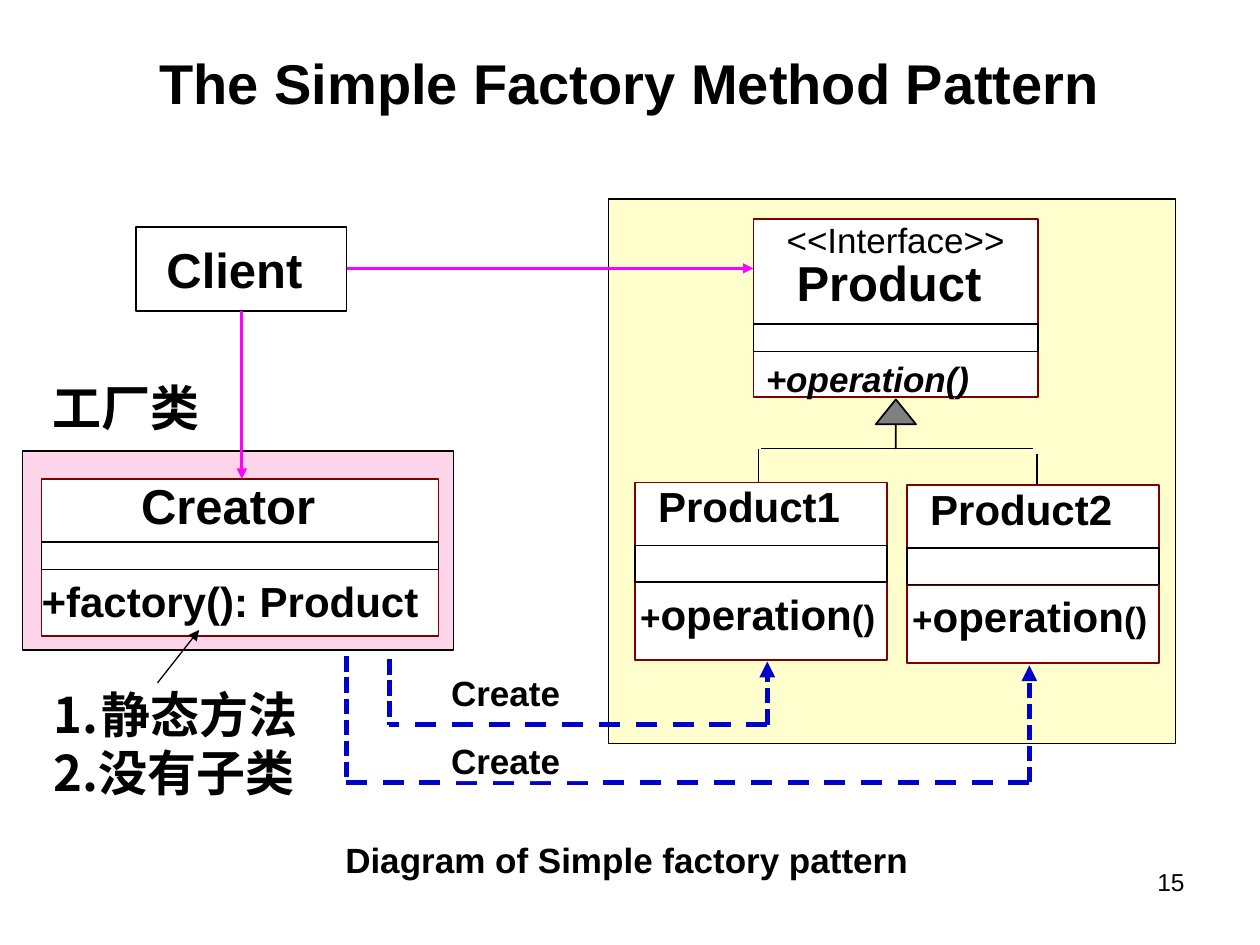
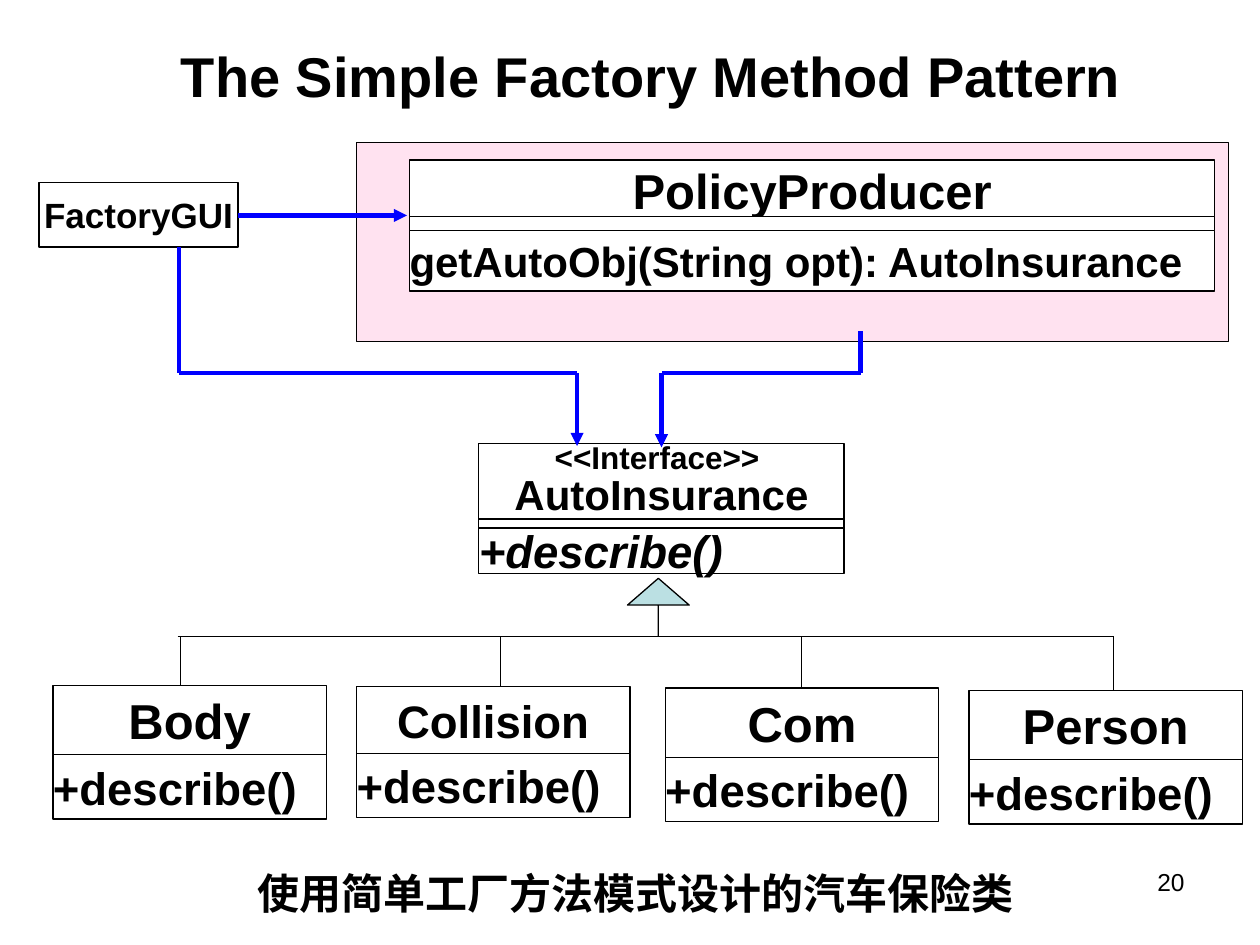
import lxml.etree
import pptx
import pptx.dml.color
import pptx.enum.dml
import pptx.enum.shapes
import pptx.enum.text
import pptx.oxml.ns
import pptx.util

Inches = pptx.util.Inches
RGBColor = pptx.dml.color.RGBColor
Align = pptx.enum.text.PP_ALIGN
Anchor = pptx.enum.text.MSO_ANCHOR
Dash = pptx.enum.dml.MSO_LINE
Preset = pptx.enum.shapes.MSO_SHAPE
qn = pptx.oxml.ns.qn

BLACK = RGBColor(0x00, 0x00, 0x00)
WHITE = RGBColor(0xFF, 0xFF, 0xFF)
PINK = RGBColor(0xFF, 0x99, 0xCC)
YELLOW = RGBColor(0xFF, 0xFF, 0x99)
MAROON = RGBColor(0x80, 0x00, 0x00)
MAGENTA = RGBColor(0xFF, 0x00, 0xFF)
NAVY = RGBColor(0x00, 0x00, 0xCC)
BLUE = RGBColor(0x00, 0x00, 0xFF)
GREY = RGBColor(0x80, 0x80, 0x80)
PALE_TEAL = RGBColor(0xBB, 0xE0, 0xE3)
LATIN_FONT = "Arial"
CHINESE_FONT = "Noto Sans CJK SC"
TITLE = "The Simple Factory Method Pattern"
PADDING = (0.1, 0.05, 0.1, 0.05)
NO_PADDING = (0, 0, 0, 0)


def add_child(parent, tag, **attributes):
    return lxml.etree.SubElement(parent, qn(tag), attributes)


def write(shape, paragraphs, size=20, bold=True, italic=False, font=LATIN_FONT,
          align=Align.LEFT, anchor=Anchor.TOP, padding=PADDING, spacing=None,
          hanging=0, numbered=0, wrap=True):
    """Fill a shape with paragraphs, each a list of (text, size or None) spans or a string.

    The first `numbered` paragraphs get an automatic number.
    """
    frame = shape.text_frame
    frame.word_wrap = wrap
    frame.vertical_anchor = anchor
    (frame.margin_left, frame.margin_top,
     frame.margin_right, frame.margin_bottom) = map(Inches, padding)
    if isinstance(paragraphs, str):
        paragraphs = [paragraphs]
    for index, spans in enumerate(paragraphs):
        para = frame.add_paragraph() if index else frame.paragraphs[0]
        para.alignment = align
        if spacing:
            para.line_spacing = spacing
        if hanging:
            properties = para._p.get_or_add_pPr()
            properties.set("marL", str(Inches(hanging)))
            properties.set("indent", str(-Inches(hanging)))
            if index < numbered:
                add_child(properties, "a:buFont", typeface=font)
                add_child(properties, "a:buAutoNum", type="arabicPeriod")
        if isinstance(spans, str):
            spans = [(spans, None)]
        for text, span_size in spans:
            span = para.add_run()
            span.text = text
            span.font.size = pptx.util.Pt(span_size or size)
            span.font.bold = bold
            span.font.italic = italic
            span.font.name = font
            span.font.color.rgb = BLACK
            add_child(span._r.get_or_add_rPr(), "a:ea", typeface=CHINESE_FONT)


class Diagram:
    """Holds the class box style and the slide being drawn."""

    def __init__(self, deck, number, title_left, title_top, border, border_width,
                 anchor, strip_border=BLACK):
        self.slide = deck.slides.add_slide(deck.slide_layouts[6])
        self.border = border
        self.border_width = border_width
        self.anchor = anchor
        self.strip_border = strip_border
        self.label(title_left, title_top, 9, 0.7, TITLE, size=32,
                   align=Align.CENTER, anchor=Anchor.MIDDLE)
        self.label(7.17, 6.83, 2.33, 0.52, number, size=14, bold=False, align=Align.RIGHT)

    def label(self, left, top, width, height, text, **text_format):
        box = self.slide.shapes.add_textbox(*map(Inches, (left, top, width, height)))
        write(box, text, **text_format)
        return box

    def box(self, left, top, width, height, fill=WHITE, border=BLACK, border_width=0.75,
            opacity=None, preset=Preset.RECTANGLE):
        shape = self.slide.shapes.add_shape(preset, *map(Inches, (left, top, width, height)))
        shape.shadow.inherit = False
        shape.fill.solid()
        shape.fill.fore_color.rgb = fill
        if opacity:
            color = shape._element.spPr.find(qn("a:solidFill"))[0]
            add_child(color, "a:alpha", val=str(opacity * 1000))
        shape.line.color.rgb = border
        shape.line.width = pptx.util.Pt(border_width)
        return shape

    def class_box(self, left, top, width, heights, name, operation,
                  name_format, operation_format):
        """Stack the name, attribute and operation parts; a zero height drops the attributes."""
        name_height, strip_height, operation_height = heights
        strip_top = top + name_height
        operation_top = strip_top + strip_height
        style = {"border": self.border, "border_width": self.border_width}
        name_part = self.box(left, top, width, name_height, **style)
        write(name_part, name, **{"align": Align.CENTER, "anchor": self.anchor, **name_format})
        operation_part = self.box(left, operation_top, width, operation_height, **style)
        write(operation_part, operation, **{"anchor": self.anchor, **operation_format})
        if strip_height:
            self.box(left, strip_top, width, strip_height, border=self.strip_border,
                     border_width=self.border_width)

    def line(self, start, end, color=BLACK, width=0.75, arrow=False, dash=None):
        connector = self.slide.shapes.add_connector(
            pptx.enum.shapes.MSO_CONNECTOR.STRAIGHT, *map(Inches, (*start, *end)))
        connector.line.color.rgb = color
        connector.line.width = pptx.util.Pt(width)
        if dash:
            connector.line.dash_style = dash
        if arrow:
            add_child(connector.line._get_or_add_ln(), "a:tailEnd", type="triangle")
        add_child(connector._element.spPr, "a:effectLst")

    def route(self, *points, **line_format):
        """Join the points with straight lines, with an arrowhead on the last one."""
        legs = list(zip(points, points[1:]))
        for index, (start, end) in enumerate(legs):
            self.line(start, end, arrow=index == len(legs) - 1, **line_format)

    def inheritance_arrow(self, left, top, width, height, head, fill, border_width):
        arrow = self.box(left, top, width, height, fill=fill, border_width=border_width,
                         preset=Preset.UP_ARROW)
        arrow.adjustments[0] = 0
        arrow.adjustments[1] = head


def draw_pattern(deck):
    page = Diagram(deck, "15", 0.5, 0.3, MAROON, 1, Anchor.TOP)
    page.box(0.18, 3.58, 3.42, 1.58, fill=PINK, opacity=41)
    page.box(4.83, 1.58, 4.5, 4.32, fill=YELLOW, opacity=48)
    page.label(1.79, 6.67, 6.37, 0.42, "Diagram of Simple factory pattern",
               align=Align.CENTER, spacing=0.8)
    page.label(0.33, 5.38, 2.92, 1.04, ["静态方法", "2.没有子类"], size=28,
               font=CHINESE_FONT, hanging=0.38, numbered=1)
    page.label(0.42, 3, 1.25, 0.47, "工厂类", size=28, padding=NO_PADDING)

    product = page.slide.shapes
    page.class_box(5.98, 1.74, 2.26, (0.83, 0.22, 0.36),
                   ["<<Interface>>", [("Product ", 28)]], "+operation()",
                   {"spacing": 0.85}, {"italic": True})
    name_part = product[-3]
    name_part.text_frame.paragraphs[0].runs[0].font.bold = False
    page.class_box(0.33, 3.8, 3.15, (0.5, 0.22, 0.53), "Creator", "+factory(): Product",
                   {"size": 28, "spacing": 0.85, "padding": (0, 0.05, 0.19, 0.05)},
                   {"size": 24, "padding": (0, 0.05, 0, 0.05)})
    client = page.box(1.08, 1.8, 1.67, 0.67, border_width=1)
    write(client, "Client ", size=28, align=Align.CENTER, anchor=Anchor.MIDDLE, wrap=False)

    page.line((1.92, 2.47), (1.92, 3.8), MAGENTA, 1.75, arrow=True)
    page.line((2.75, 2.13), (5.98, 2.13), MAGENTA, 1.75, arrow=True)
    page.line((1.25, 5.42), (1.58, 5), arrow=True)

    page.inheritance_arrow(6.95, 3.17, 0.32, 0.39, 0.618, GREY, 1)
    page.line((6.04, 3.56), (8.2, 3.56))
    page.line((6.02, 3.56), (6.02, 4.04))
    page.line((8.23, 3.6), (8.23, 4.07))
    for name, left, top in (("Product1", 5.04, 3.83), ("Product2", 7.2, 3.85)):
        page.class_box(left, top, 2, (0.5, 0.29, 0.62), name,
                       [[("+", 20), ("operation", 24), ("()", 20)]],
                       {"size": 24, "spacing": 0.85, "padding": (0.04, 0.05, 0.23, 0.05)},
                       {"padding": (0.04, 0.05, 0.04, 0.05)})

    for start_x, start_y, turn_y, end_x, end_y, label_top in (
            (3.09, 5.23, 5.75, 6.09, 5.25, 5.33), (2.75, 5.21, 6.21, 8.17, 5.28, 5.87)):
        page.line((start_x, start_y), (start_x, turn_y), NAVY, 3, dash=Dash.SQUARE_DOT)
        page.line((end_x, turn_y), (start_x, turn_y), NAVY, 3, dash=Dash.DASH)
        page.line((end_x, turn_y), (end_x, end_y), NAVY, 3, arrow=True, dash=Dash.SQUARE_DOT)
        label = page.label(3.58, label_top, 1.13, 0.33, "Create", padding=NO_PADDING)
        label.fill.solid()
        label.fill.fore_color.rgb = WHITE


def draw_insurance(deck):
    page = Diagram(deck, "20", 0.67, 0.25, BLACK, 0.75, Anchor.MIDDLE)
    tight = {"padding": (0, 0.04, 0, 0.04)}
    page.box(2.83, 1.13, 6.92, 1.58, fill=PINK, opacity=28)
    page.class_box(3.25, 1.27, 6.39, (0.45, 0.11, 0.48), "PolicyProducer",
                   "getAutoObj(String opt): AutoInsurance",
                   {"size": 28, "padding": (0, 0.03, 0, 0)}, {"size": 24, **tight})
    page.class_box(3.8, 3.52, 2.9, (0.6, 0.07, 0.36),
                   [[("<<Interface>> ", 18)], "AutoInsurance"], "+describe()",
                   {"size": 24, "spacing": 0.85, "padding": NO_PADDING},
                   {"size": 26, "italic": True, "padding": NO_PADDING})
    factory = page.box(0.31, 1.45, 1.58, 0.51)
    write(factory, "FactoryGUI", align=Align.CENTER, anchor=Anchor.MIDDLE, padding=NO_PADDING)
    page.label(1.5, 6.75, 7.08, 0.67, "使用简单工厂方法模式设计的汽车保险类", size=24,
               font=CHINESE_FONT, align=Align.CENTER, anchor=Anchor.MIDDLE)

    call = {"color": BLUE, "width": 2.5}
    page.route((1.89, 1.71), (3.23, 1.71), **call)
    page.route((6.83, 2.63), (6.83, 2.96), (5.25, 2.96), (5.25, 3.55), **call)
    page.route((1.42, 1.96), (1.42, 2.96), (4.58, 2.96), (4.58, 3.54), **call)

    page.line((1.41, 5.05), (8.84, 5.05))
    for name, size, left, top, name_height, branch in (
            ("Body", 28, 0.42, 5.44, 0.55, 1.43),
            ("Collision", 26, 2.83, 5.45, 0.53, 3.97),
            ("Com", 28, 5.28, 5.46, 0.55, 6.36),
            ("Person", 28, 7.69, 5.48, 0.55, 8.84)):
        page.line((branch, 5.05), (branch, top))
        page.class_box(left, top, 2.17, (name_height, 0, 0.51), name, "+describe()",
                       {"size": size, **tight}, {"size": 26, **tight})
    page.inheritance_arrow(4.98, 4.59, 0.49, 0.46, 0.463, PALE_TEAL, 0.75)


def main():
    deck = pptx.Presentation()
    deck.slide_width = Inches(10)
    deck.slide_height = Inches(7.5)
    draw_pattern(deck)
    draw_insurance(deck)
    deck.save("out.pptx")


if __name__ == "__main__":
    main()
